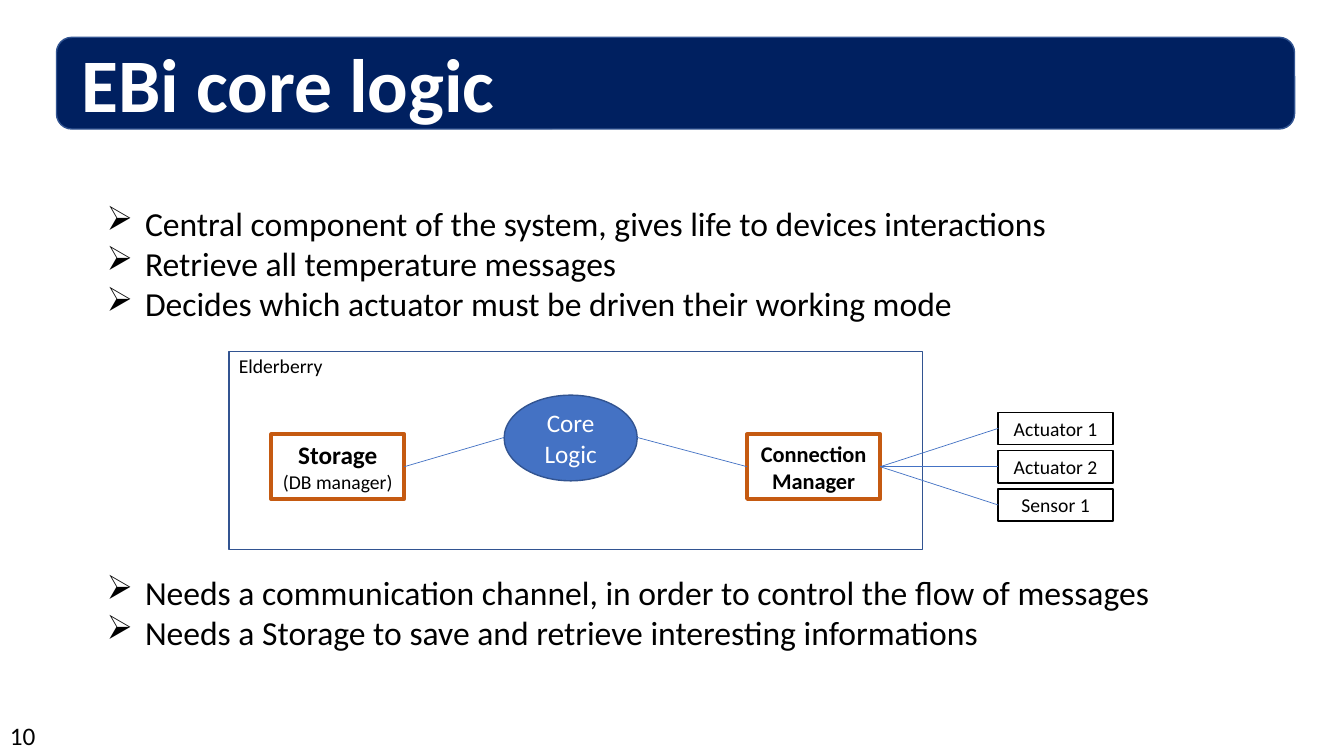
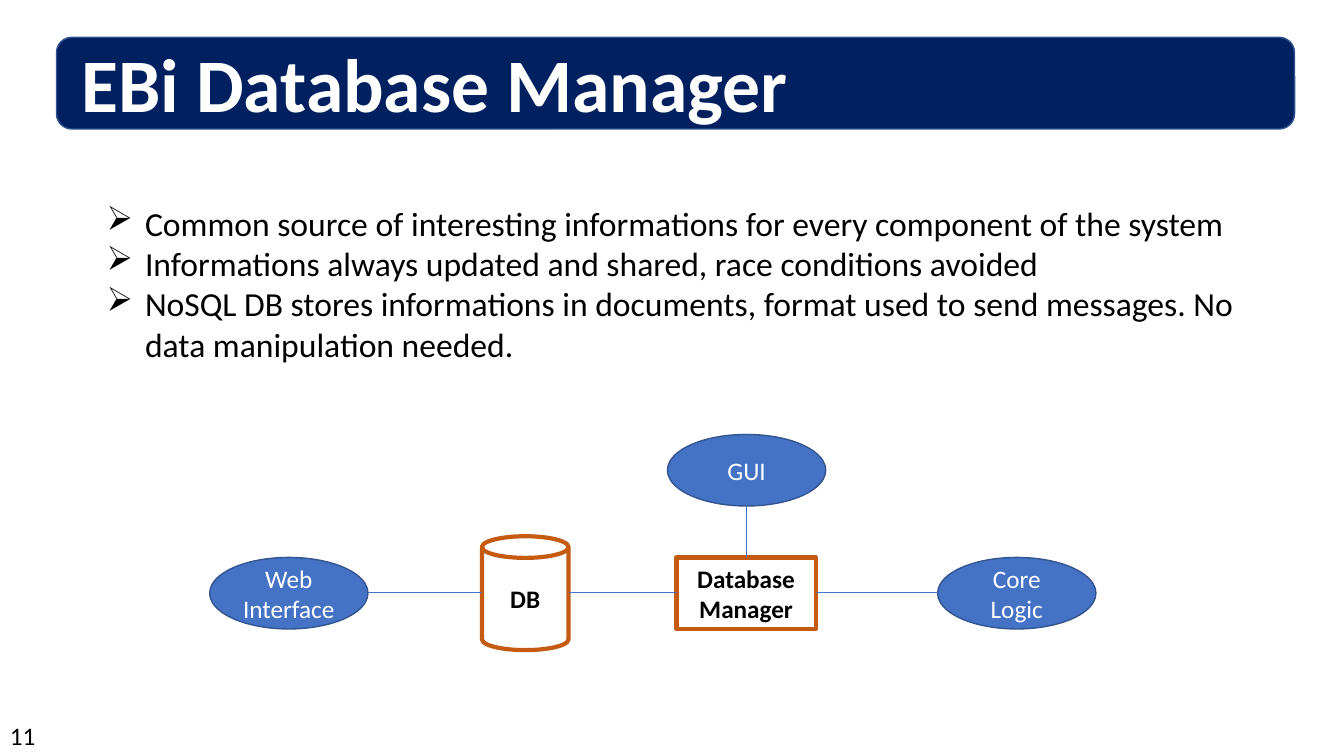
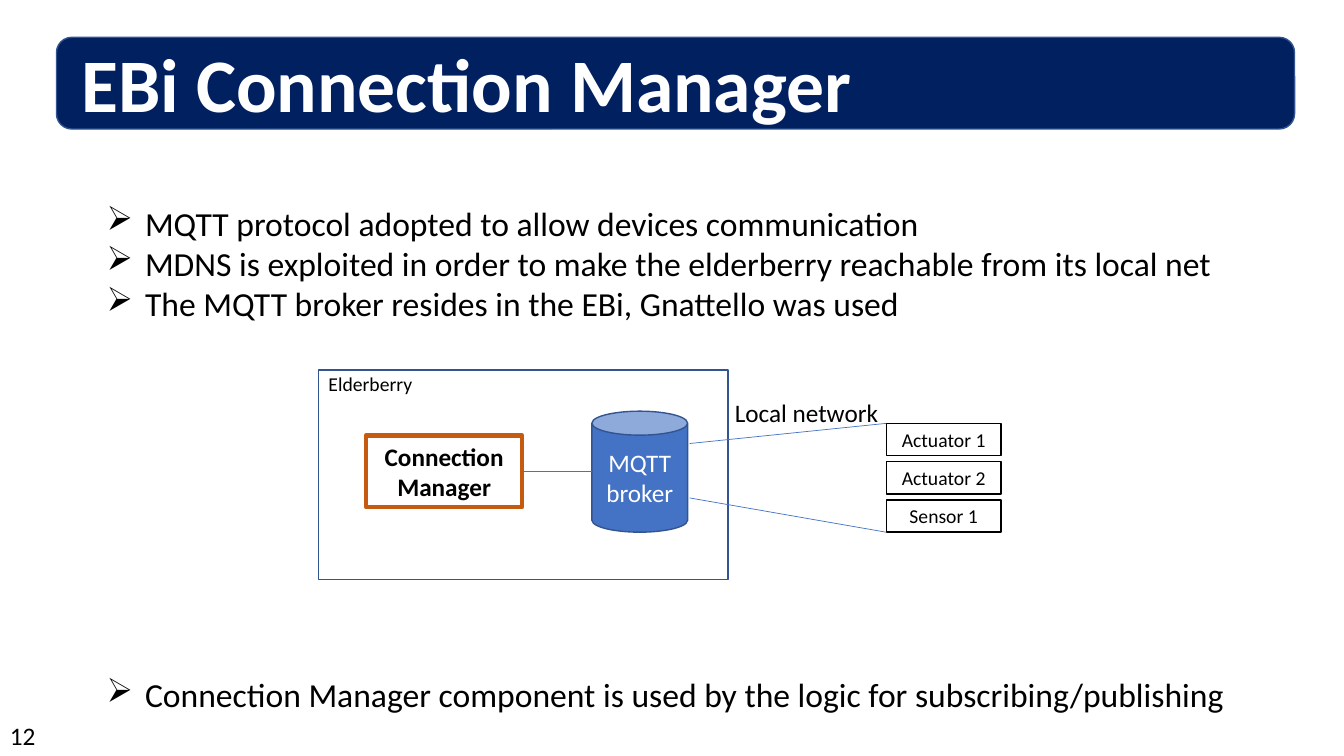
"""Build three slides on the core logic, database and connection parts of a home controller."""
import pptx
import pptx.dml.color
import pptx.enum.shapes
import pptx.enum.text
import pptx.oxml.ns
import pptx.util
from lxml import etree

PX = 9144
FONT = "Calibri"
WHITE, BLACK = "FFFFFF", "000000"
NAVY, BLUE, EDGE, ORANGE = "002060", "4472C4", "325491", "C55A11"
RECT = pptx.enum.shapes.MSO_SHAPE.RECTANGLE
ROUND = pptx.enum.shapes.MSO_SHAPE.ROUNDED_RECTANGLE
OVAL = pptx.enum.shapes.MSO_SHAPE.OVAL
CAN = pptx.enum.shapes.MSO_SHAPE.CAN
ANCHOR = pptx.enum.text.MSO_ANCHOR
ALIGN = pptx.enum.text.PP_ALIGN
rgb = pptx.dml.color.RGBColor.from_string
qn = pptx.oxml.ns.qn


def write(page, text, at, kind=None, fill=WHITE, line=EDGE, weight=1,
          size=18, color=BLACK, bold=False, wrap=True, bullet=None):
    """Place text in a text box, or in a preset shape when a kind is given."""
    left, top, width, height = [value * PX for value in at]
    if kind is None:
        box = page.shapes.add_textbox(left, top, width, height)
    else:
        box = page.shapes.add_shape(kind, left, top, width, height)
        box.shadow.inherit = False
        box.fill.solid()
        box.fill.fore_color.rgb = rgb(fill)
        box.line.color.rgb = rgb(line)
        box.line.width = pptx.util.Pt(weight)
    frame = box.text_frame
    frame.word_wrap = wrap
    frame.vertical_anchor = ANCHOR.MIDDLE if kind else ANCHOR.TOP
    frame.text = text
    for paragraph in frame.paragraphs:
        paragraph.alignment = ALIGN.CENTER if kind else ALIGN.LEFT
        paragraph.font.name = FONT
        for run in paragraph.runs:
            run.font.name = FONT
            run.font.size = pptx.util.Pt(size)
            run.font.bold = bold
            run.font.color.rgb = rgb(color)
        if bullet:
            properties = paragraph._p.get_or_add_pPr()
            properties.set("marL", str(38 * PX))
            properties.set("indent", str(-38 * PX))
            mark = etree.Element(qn("a:buChar"), char=bullet)
            properties.insert(0, mark)
    return box


def link(page, start, end):
    """Draw a thin blue line between two points."""
    ends = [value * PX for value in (*start, *end)]
    wire = page.shapes.add_connector(pptx.enum.shapes.MSO_CONNECTOR.STRAIGHT, *ends)
    wire.line.color.rgb = rgb(BLUE)
    wire.line.width = pptx.util.Pt(0.5)
    etree.SubElement(wire._element.spPr, qn("a:effectLst"))


deck = pptx.Presentation()
deck.slide_width = 1333 * PX
deck.slide_height = 750 * PX

topics = [
    ("EBi core logic", [
        (196, 1159, 131, "Central component of the system, gives life to devices interactions\n"
                         "Retrieve all temperature messages\n"
                         "Decides which actuator must be driven their working mode"),
        (562, 1185, 91, "Needs a communication channel, in order to control the flow of messages\n"
                        "Needs a Storage to save and retrieve interesting informations"),
    ]),
    ("EBi Database Manager", [
        (196, 1159, 172, "Common source of interesting informations for every component of the system\n"
                         "Informations always updated and shared, race conditions avoided\n"
                         "NoSQL DB stores informations in documents, format used to send messages. "
                         "No data manipulation needed."),
    ]),
    ("EBi Connection Manager", [
        (196, 1159, 131, "MQTT protocol adopted to allow devices communication\n"
                         "MDNS is exploited in order to make the elderberry reachable from its local net\n"
                         "The MQTT broker resides in the EBi, Gnattello was used"),
        (664, 1185, 50, "Connection Manager component is used by the logic for subscribing/publishing"),
    ]),
]
pages = []
for number, (title, lists) in enumerate(topics, 10):
    page = deck.slides.add_slide(deck.slide_layouts[6])
    write(page, "", (56, 37, 1228, 91), ROUND, fill=NAVY)
    write(page, title, (71, 32, 801, 101), size=54, color=WHITE, bold=True)
    for top, width, height, points in lists:
        write(page, points, (96, top, width, height), size=24, bullet="➢")
    write(page, str(number), (0, 710, 46, 40), wrap=False)
    pages.append(page)
logic, database, connection = pages

boards = [
    (logic, (227, 349, 688, 196), (990, 409)),
    (connection, (316, 367, 406, 208), (879, 420)),
]
for page, board, (left, top) in boards:
    write(page, "", board, RECT)
    write(page, "Elderberry", (board[0], board[1] - 3, 150, 34), size=14)
    for row, device in enumerate(["Actuator 1", "Actuator 2", "Sensor 1"]):
        write(page, device, (left, top + 38 * row, 114, 32), RECT, line=BLACK, size=14)

manager = {"kind": RECT, "line": ORANGE, "weight": 3, "bold": True}
process = {"kind": OVAL, "fill": BLUE, "color": WHITE}

storage = write(logic, "Storage\n(DB manager)", (269, 431, 132, 64), **manager)
role = storage.text_frame.paragraphs[1].runs[0]
role.font.size = pptx.util.Pt(14)
role.font.bold = False
write(logic, "Connection Manager", (741, 431, 132, 64), size=16, **manager)
write(logic, "Core Logic", (500, 392, 132, 85), **process)
link(logic, (401, 463), (500, 434))
link(logic, (632, 434), (741, 463))
for row in range(3):
    link(logic, (873, 463), (990, 425 + 38 * row))

write(database, "Database Manager", (671, 553, 138, 71), **manager)
for part, left, top in [("Web Interface", 208, 553), ("GUI", 662, 431), ("Core Logic", 930, 553)]:
    write(database, part, (left, top, 157, 71), **process)
write(database, "DB", (478, 532, 86, 113), **{**manager, "kind": CAN})
link(database, (740, 502), (740, 553))
for left, right in [(365, 478), (564, 671), (809, 930)]:
    link(database, (left, 588), (right, 588))

write(connection, "Connection Manager", (363, 432, 155, 71), **manager)
write(connection, "MQTT broker", (587, 408, 95, 120), **{**process, "kind": CAN})
link(connection, (518, 468), (587, 468))
link(connection, (684, 440), (879, 420))
link(connection, (684, 494), (879, 528))
write(connection, "Local network", (719, 389, 163, 40))

deck.save("out.pptx")
